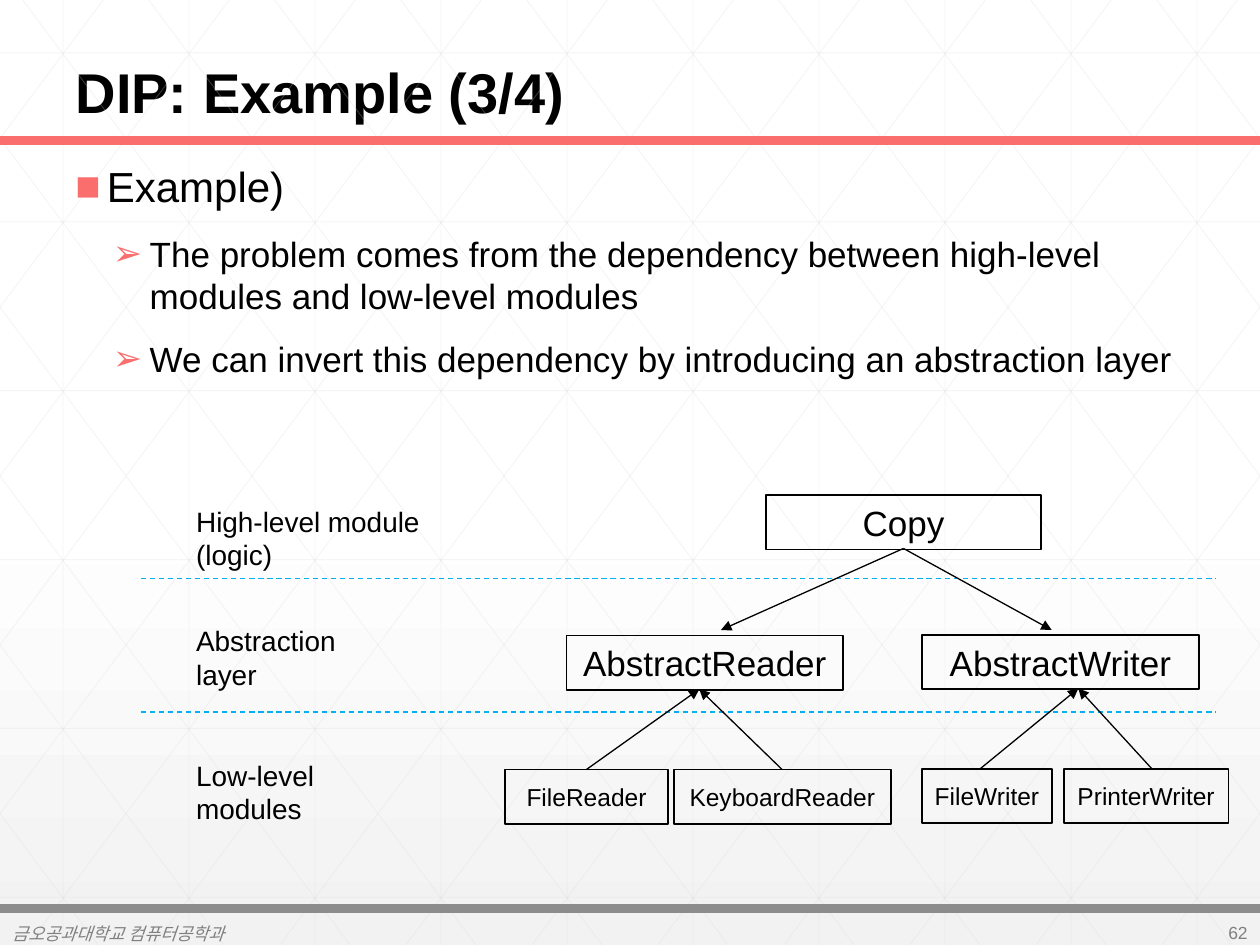
"""Build the DIP example slide with its layered class diagram."""
from lxml import etree
from pptx import Presentation
from pptx import util as u
from pptx.dml.color import RGBColor
from pptx.enum import dml, shapes, text
from pptx.oxml.ns import qn

Pt = u.Pt
W, H = 720, 540
COLORS = {"ink": "000000", "accent": "FA6E6E", "gray": "808080", "bar": "8C8C8C",
          "grid": "D9D9D9", "divider": "00B0F0", "white": "FFFFFF", "shade": "F2F2F2"}
FONT = "Arial"


def rgb(name):
    return RGBColor.from_string(COLORS[name])


def sub(parent, tag, **attrs):
    return etree.SubElement(parent, qn(tag), attrs)


class Deck:
    """Hold the style and the current slide."""

    def __init__(self):
        self.prs = Presentation()
        self.prs.slide_width, self.prs.slide_height = Pt(W), Pt(H)
        self.s = self.prs.slides.add_slide(self.prs.slide_layouts[5])

    def background(self):
        fill = self.s.background.fill
        fill.gradient()
        fill.gradient_angle = 270
        for stop, pos, name in zip(fill.gradient_stops, (0.53, 1), ("white", "shade")):
            stop.position = pos
            stop.color.rgb = rgb(name)

    def line(self, x1, y1, x2, y2, color="ink", width=0.75, dash=False, alpha=None, arrow=False):
        c = self.s.shapes.add_connector(shapes.MSO_CONNECTOR.STRAIGHT,
                                        Pt(x1), Pt(y1), Pt(x2), Pt(y2))
        c.line.width = Pt(width)
        c.line.color.rgb = rgb(color)
        if dash:
            c.line.dash_style = dml.MSO_LINE.DASH
        ln = c._element.spPr.find(qn("a:ln"))
        if alpha:
            sub(ln.find(".//" + qn("a:srgbClr")), "a:alpha", val=str(alpha * 1000))
        if arrow:
            sub(ln, "a:tailEnd", type="triangle")
        sub(c._element.spPr, "a:effectLst")

    def fill_text(self, p, words, size, color="ink", **fmt):
        p.text = words
        values = {"name": FONT, "size": Pt(size), **fmt}
        for r in p.runs:
            for key, value in values.items():
                setattr(r.font, key, value)
            r.font.color.rgb = rgb(color)

    def frame(self, sp, **fmt):
        tf = sp.text_frame
        for key, value in {"word_wrap": True, **fmt}.items():
            setattr(tf, key, value)
        return tf

    def title(self, words, x, y, w, h):
        sp = self.s.shapes.title
        for key, value in {"left": x, "top": y, "width": w, "height": h}.items():
            setattr(sp, key, Pt(value))
        tf = self.frame(sp, vertical_anchor=text.MSO_ANCHOR.BOTTOM,
                        auto_size=text.MSO_AUTO_SIZE.NONE)
        p = tf.paragraphs[0]
        p.alignment, p.line_spacing = text.PP_ALIGN.LEFT, 0.9
        self.fill_text(p, words, 32, bold=True)

    def label(self, words, x, y, w, h, size=16, color="ink", align="LEFT", anchor="TOP", **fmt):
        sp = self.s.shapes.add_textbox(Pt(x), Pt(y), Pt(w), Pt(h))
        tf = self.frame(sp, vertical_anchor=text.MSO_ANCHOR[anchor])
        p = tf.paragraphs[0]
        p.alignment = text.PP_ALIGN[align]
        self.fill_text(p, words, size, color, **fmt)

    def bullets(self, items, x, y, w, h):
        styles = [("■", 18, 18, 24, 0.9, 18), ("➢", 42.5, 21, 20, 1.0, 12)]
        tf = self.frame(self.s.shapes.add_textbox(Pt(x), Pt(y), Pt(w), Pt(h)))
        for i, (level, words) in enumerate(items):
            mark, margin, hang, size, spacing, before = styles[level]
            p = tf.add_paragraph() if i else tf.paragraphs[0]
            p.level, p.line_spacing = level, spacing
            p.space_before = Pt(before if i else 0)
            pPr = p._p.get_or_add_pPr()
            pPr.set("marL", str(Pt(margin)))
            pPr.set("indent", str(-Pt(hang)))
            sub(sub(pPr, "a:buClr"), "a:srgbClr", val=COLORS["accent"])
            sub(pPr, "a:buFont", typeface=FONT)
            sub(pPr, "a:buChar", char=mark)
            self.fill_text(p, words, size)

    def box(self, words, x, y, w, size):
        sp = self.s.shapes.add_shape(shapes.MSO_SHAPE.RECTANGLE, Pt(x), Pt(y), Pt(w), Pt(31))
        sp.shadow.inherit = False
        sp.fill.background()
        sp.line.color.rgb = rgb("ink")
        sp.line.width = Pt(1)
        tf = self.frame(sp, word_wrap=False, vertical_anchor=text.MSO_ANCHOR.MIDDLE)
        p = tf.paragraphs[0]
        p.alignment = text.PP_ALIGN.CENTER
        self.fill_text(p, words, size)

    def grid(self):
        style = {"color": "grid", "width": 0.5, "alpha": 25}
        for i in range(10):
            self.line(36 + 72 * i, 0, 36 + 72 * i, H, **style)
        for i in range(6):
            y = 30.25 + 96.5 * i
            self.line(0, y, W, y, **style)
        slope = 1.34
        for i in range(-5, 10):
            start = 13 + 72 * i
            x1, x2 = max(start, 0), min(start + H / slope, W)
            y1, y2 = ((x - start) * slope for x in (x1, x2))
            self.line(x1, y1, x2, y2, **style)
            self.line(W - x1, y1, W - x2, y2, **style)


def main():
    d = Deck()
    d.background()
    d.grid()
    for y, color in ((80.3, "accent"), (519.1, "bar")):
        d.line(0, y, W, y, color, 5)
    d.title("DIP: Example (3/4)", 36, 0, 648, 75.6)
    d.bullets([
        (0, "Example)"),
        (1, "The problem comes from the dependency between high-level modules "
            "and low-level modules"),
        (1, "We can invert this dependency by introducing an abstraction layer"),
    ], 36, 91.5, 648, 420)
    d.label("금오공과대학교 컴퓨터공학과", 0, 525, 362, 17, 10, "gray", anchor="MIDDLE", italic=True)
    d.label("62", 666, 524.5, 54, 17, 10, "gray", "RIGHT", "MIDDLE")

    for words, y, w in (("High-level module (logic)", 284.5, 183.6),
                        ("Abstraction layer", 352.8, 126.7),
                        ("Low-level modules", 429.8, 139.7)):
        d.label(words, 105, y, w, 26.6)
    for y in (330.5, 406.8):
        d.line(80.6, y, 694.8, y, "divider", dash=True)

    for words, x, y, w, size in (("Copy", 437.8, 283, 157, 20),
                                 ("AbstractReader", 323.8, 363.2, 158, 20),
                                 ("AbstractWriter", 527, 362.8, 158, 20),
                                 ("FileReader", 288.7, 439.8, 93, 14),
                                 ("KeyboardReader", 385.2, 439.8, 123.8, 14),
                                 ("FileWriter", 527, 439.3, 74, 14),
                                 ("PrinterWriter", 608, 439.3, 94, 14)):
        d.box(words, x, y, w, size)

    for x in (412, 601):
        d.line(516.3, 313.4, x, 360, arrow=True)
    for tip, y, starts in ((399.6, 393.8, (335, 447)), (616.2, 393.4, (560, 658.3))):
        for x in starts:
            d.line(x, y + 46, tip, y, arrow=True)
    d.prs.save("out.pptx")


if __name__ == "__main__":
    main()
